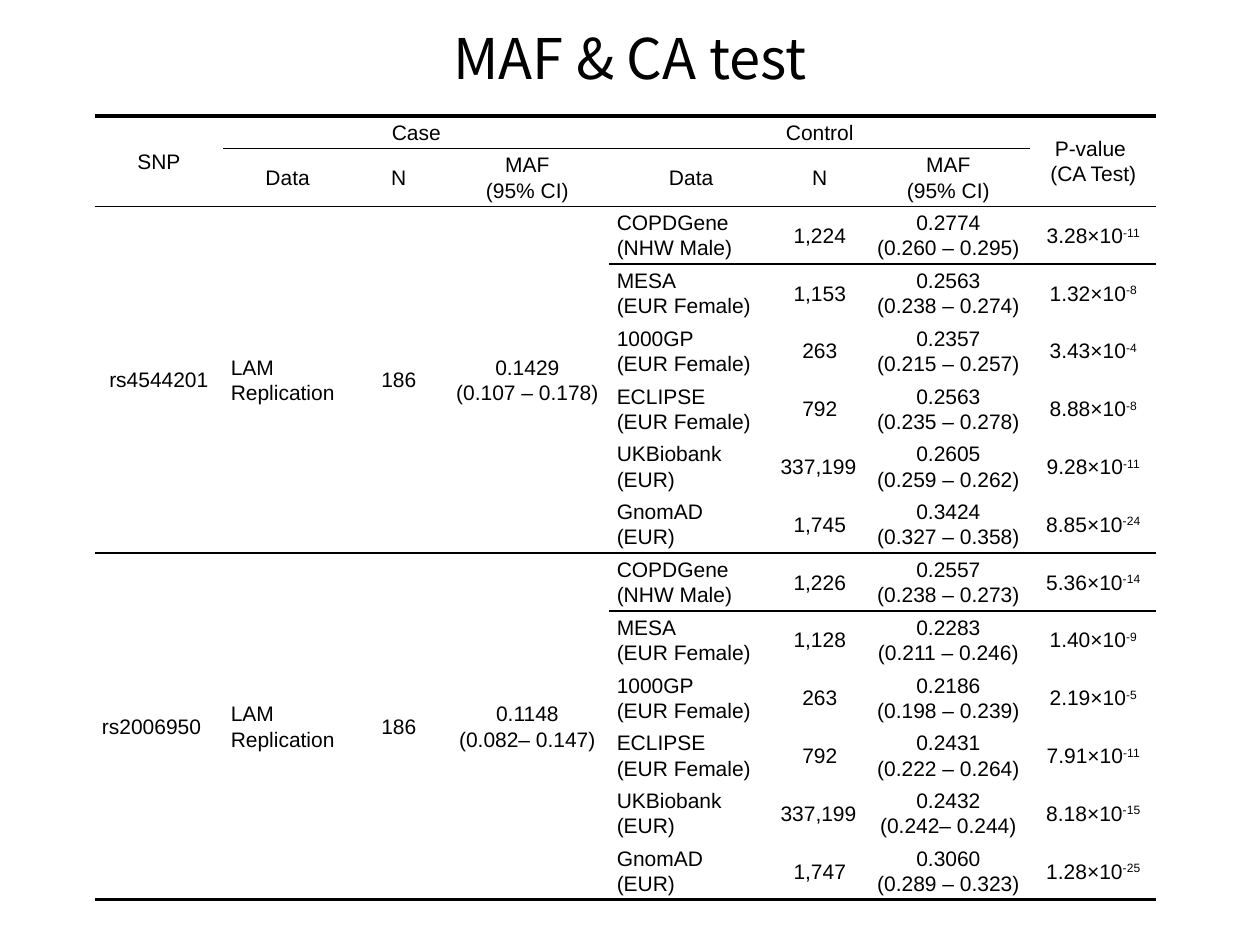
"""Build a slide with a table of allele frequencies and trend tests."""
from dataclasses import dataclass

from lxml.etree import SubElement
from pptx import Presentation
from pptx.dml.color import RGBColor
from pptx.enum.text import MSO_ANCHOR as Anchor, PP_ALIGN as Align
from pptx.oxml.ns import qn
from pptx.util import Pt


@dataclass(frozen=True)
class Theme:
    ink: str = "000000"
    title_font: str = "Noto Sans CJK KR"
    title_size: float = 32
    table_font: str = "Arial"
    table_size: float = 12
    thin: float = 1
    thick: float = 2.25


def style_font(font, name, size):
    font.name, font.size = name, Pt(size)
    font.color.rgb = RGBColor.from_string(theme.ink)


def add_border(cell, tag, weight, position):
    properties = cell._tc.get_or_add_tcPr()
    line = SubElement(properties, qn(tag), w=str(Pt(weight)))
    fill = SubElement(line, qn("a:solidFill"))
    SubElement(fill, qn("a:srgbClr"), val=theme.ink)
    properties.insert(position, line)


theme = Theme()
NO_GRID_STYLE = "{2D5ABB26-0587-4C30-8999-92F81FD0307C}"
COLUMN_WIDTHS = [73.6, 73.6, 53.4, 93.6, 93.6, 53.4, 93.6, 72]
ROW_HEIGHTS = [16.6] + [30.2] * 13
RULES = {0: theme.thick, 1: theme.thin, 2: theme.thin, 8: theme.thin, 14: theme.thick}
DATASETS = [
    "COPDGene\n(NHW Male)", "MESA\n(EUR Female)", "1000GP\v(EUR Female)",
    "ECLIPSE\n(EUR Female)", "UKBiobank\n(EUR)", "GnomAD\n(EUR)",
]
STUDIES = [
    (["rs4544201", "LAM \vReplication", "186", "0.1429\n(0.107 – 0.178)"], [
        ("1,224", "0.2774\n(0.260 – 0.295)", "3.28×10^-11"),
        ("1,153", "0.2563\n(0.238 – 0.274)", "1.32×10^-8"),
        ("263", "0.2357\n(0.215 – 0.257)", "3.43×10^-4"),
        ("792", "0.2563\n(0.235 – 0.278)", "8.88×10^-8"),
        ("337,199", "0.2605\n(0.259 – 0.262)", "9.28×10^-11"),
        ("1,745", "0.3424\n(0.327 – 0.358)", "8.85×10^-24"),
    ]),
    (["rs2006950", "LAM \vReplication", "186", "0.1148\n(0.082– 0.147)"], [
        ("1,226", "0.2557\n(0.238 – 0.273)", "5.36×10^-14"),
        ("1,128", "0.2283\n(0.211 – 0.246)", "1.40×10^-9"),
        ("263", "0.2186\n(0.198 – 0.239)", "2.19×10^-5"),
        ("792", "0.2431\n(0.222 – 0.264)", "7.91×10^-11"),
        ("337,199", "0.2432\n(0.242– 0.244)", "8.18×10^-15"),
        ("1,747", "0.3060\n(0.289 – 0.323)", "1.28×10^-25"),
    ]),
]
LEFT_VALUES = {"rs2006950", "337,199"}

rows = [
    ["SNP", "Case", "", "", "Control", "", "", "P-value \n(CA Test)"],
    ["", "Data", "N", "MAF\v(95% CI)", "Data", "N", "MAF\n(95% CI)", ""],
]
merges = [(0, 0, 1, 0), (0, 1, 0, 3), (0, 4, 0, 6), (0, 7, 1, 7)]
for case, controls in STUDIES:
    first = len(rows)
    merges += [(first, column, first + len(controls) - 1, column) for column in range(4)]
    for index, (dataset, control) in enumerate(zip(DATASETS, controls)):
        rows.append((case if index == 0 else [""] * 4) + [dataset, *control])

deck = Presentation()
deck.slide_width, deck.slide_height = Pt(720), Pt(540)
page = deck.slides.add_slide(deck.slide_layouts[5])

title = page.shapes.title
title.left, title.top, title.width, title.height = Pt(36), Pt(9.4), Pt(648), Pt(46)
title.text_frame.text = "MAF & CA test"
title.text_frame.vertical_anchor = Anchor.MIDDLE
heading = title.text_frame.paragraphs[0]
heading.alignment = Align.CENTER
style_font(heading.runs[0].font, theme.title_font, theme.title_size)

frame = page.shapes.add_table(
    len(rows), len(COLUMN_WIDTHS), Pt(54), Pt(66.2), Pt(sum(COLUMN_WIDTHS)), Pt(sum(ROW_HEIGHTS))
)
table = frame.table
table.first_row = table.horz_banding = False
table._tbl.tblPr.find(qn("a:tableStyleId")).text = NO_GRID_STYLE
for column, width in zip(table.columns, COLUMN_WIDTHS):
    column.width = Pt(width)
for row, height in zip(table.rows, ROW_HEIGHTS):
    row.height = Pt(height)
for top, left, bottom, right in merges:
    table.cell(top, left).merge(table.cell(bottom, right))

for row_index, row in enumerate(rows):
    for column_index, text in enumerate(row):
        cell = table.cell(row_index, column_index)
        cell.fill.background()
        cell.vertical_anchor = Anchor.MIDDLE
        cell.margin_left = cell.margin_right = Pt(4.3)
        cell.margin_top = cell.margin_bottom = Pt(2.15)
        cell.text_frame.text = text
        is_label = row_index > 1 and column_index in (1, 4)
        align = Align.LEFT if is_label or text in LEFT_VALUES else Align.CENTER
        for para in cell.text_frame.paragraphs:
            para.alignment, para.line_spacing = align, 1.07
            style_font(para.font, theme.table_font, theme.table_size)
            base, caret, exponent = para.text.partition("^")
            if caret:
                para.text = base
                span = para.add_run()
                span.text = exponent
                span._r.get_or_add_rPr().set("baseline", "30000")
            for span in para.runs:
                style_font(span.font, theme.table_font, theme.table_size)

        depth = cell.span_height if cell.is_merge_origin else 1
        edges = [("a:lnT", row_index), ("a:lnB", row_index + depth)]
        position = 0
        for tag, boundary in edges:
            if boundary in RULES and not (boundary == 1 and column_index in (0, 7)):
                add_border(cell, tag, RULES[boundary], position)
                position += 1

deck.save("out.pptx")
